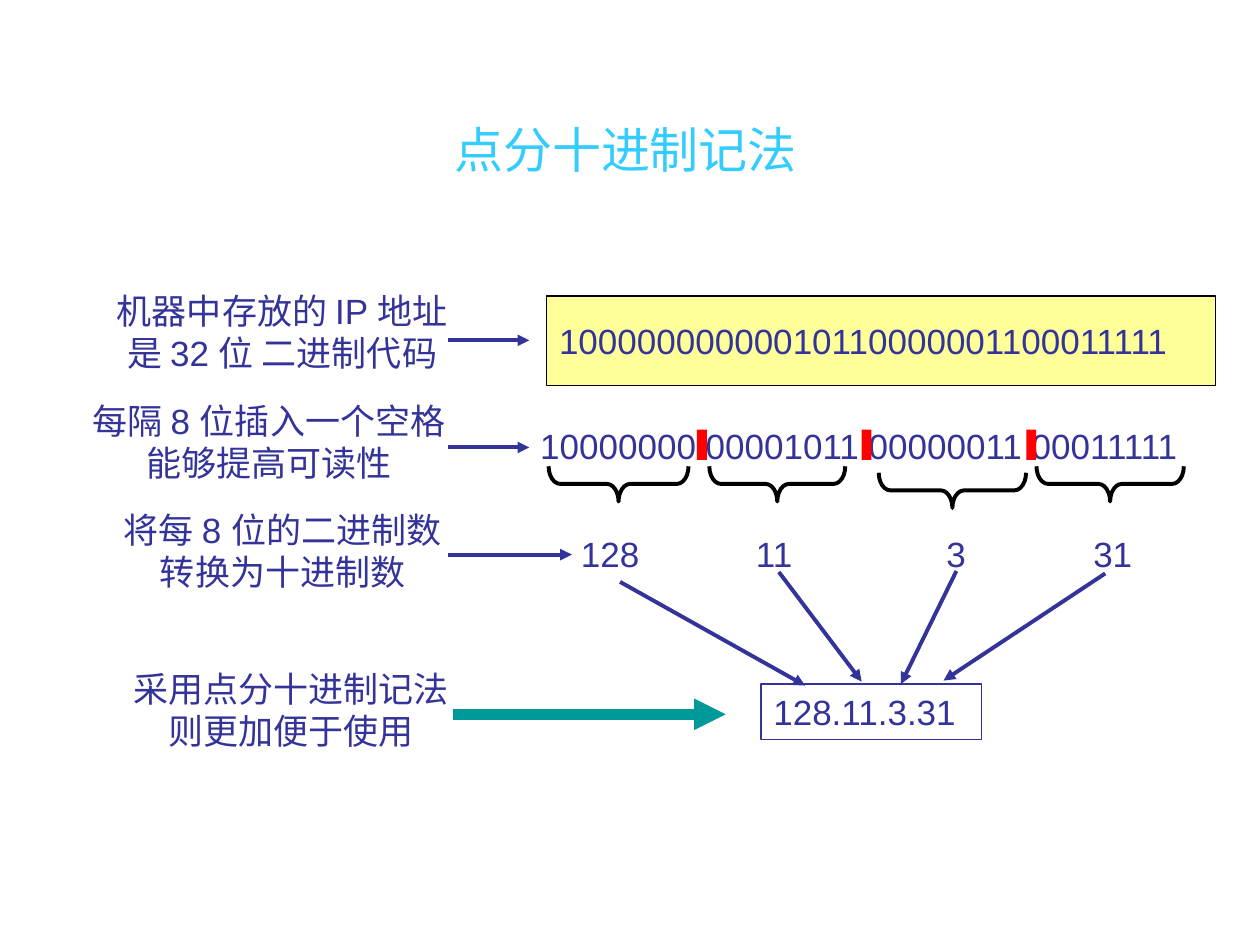
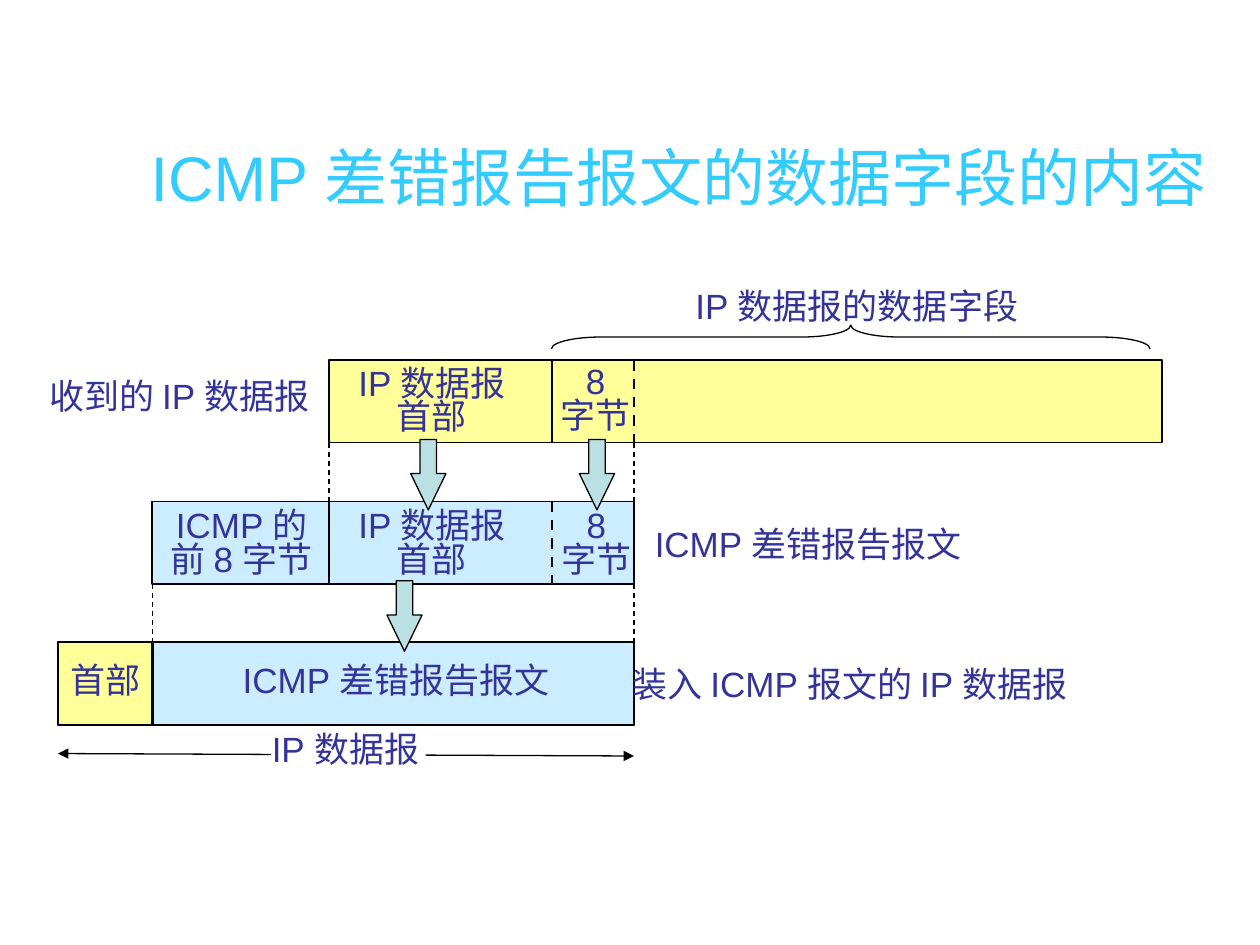
import pptx
import pptx.util
import pptx.dml.color
import pptx.enum.dml
import pptx.enum.shapes
import pptx.enum.text
import pptx.oxml
import pptx.oxml.ns
from lxml import etree

Cm = pptx.util.Cm
Pt = pptx.util.Pt
RGBColor = pptx.dml.color.RGBColor
SHAPE = pptx.enum.shapes.MSO_SHAPE
ALIGN = pptx.enum.text.PP_ALIGN
ANCHOR = pptx.enum.text.MSO_ANCHOR
qn = pptx.oxml.ns.qn

FONT = "Arial"
SKY = RGBColor(0x33, 0xCC, 0xFF)
NAVY = RGBColor(0x33, 0x33, 0x99)
TEAL = RGBColor(0x00, 0x99, 0x99)
YELLOW = RGBColor(0xFF, 0xFF, 0x99)
PALE_BLUE = RGBColor(0xCC, 0xEC, 0xFF)
ARROW_FILL = RGBColor(0xBB, 0xE0, 0xE3)
RED = RGBColor(0xFF, 0x00, 0x00)
BLACK = RGBColor(0x00, 0x00, 0x00)
WHITE = RGBColor(0xFF, 0xFF, 0xFF)


def add_box(s, x, y, w, h, text="", kind=None, fill=None, line=None, width=0.75,
            size=20, color=NAVY, align=ALIGN.LEFT, spacing=None, anchor=ANCHOR.TOP):
    """Add a preset shape, or a text box if kind is None; each text line is a paragraph."""
    frame = Cm(x), Cm(y), Cm(w), Cm(h)
    if kind is None:
        sp = s.shapes.add_textbox(*frame)
    else:
        sp = s.shapes.add_shape(kind, *frame)
        sp.shadow.inherit = False
        if fill is None:
            sp.fill.background()
        else:
            sp.fill.solid()
            sp.fill.fore_color.rgb = fill
        if line is None:
            sp.line.fill.background()
        else:
            sp.line.color.rgb = line
            sp.line.width = Pt(width)
    if text:
        tf = sp.text_frame
        tf.word_wrap = False
        tf.vertical_anchor = anchor
        if align == ALIGN.CENTER:
            # Centred labels use the full width, so that narrow ones stay on one line
            tf.margin_left = tf.margin_right = 0
        for i, words in enumerate(text.split("\n")):
            p = tf.paragraphs[0] if i == 0 else tf.add_paragraph()
            p.alignment = align
            if spacing:
                p.line_spacing = spacing
            r = p.add_run()
            r.text = words
            r.font.name = FONT
            r.font.size = Pt(size)
            r.font.color.rgb = color
    return sp


def add_line(s, x1, y1, x2, y2, color=BLACK, width=0.75, ends=(), dashed=False):
    """Add a straight line; ends names the ends with arrowheads (headEnd, tailEnd)."""
    c = s.shapes.add_connector(pptx.enum.shapes.MSO_CONNECTOR.STRAIGHT,
                               Cm(x1), Cm(y1), Cm(x2), Cm(y2))
    c.line.color.rgb = color
    c.line.width = Pt(width)
    if dashed:
        c.line.dash_style = pptx.enum.dml.MSO_LINE.DASH
    ln = c.line._get_or_add_ln()
    for end in ends:
        etree.SubElement(ln, qn("a:" + end)).set("type", "triangle")
    etree.SubElement(c._element.spPr, qn("a:effectLst"))


prs = pptx.Presentation()
prs.slide_width = Cm(25.4)
prs.slide_height = Cm(19.05)
blank = prs.slide_layouts[6]
title_style = dict(color=SKY, align=ALIGN.CENTER, anchor=ANCHOR.MIDDLE)

# Slide 1: dotted decimal notation
s = prs.slides.add_slide(blank)
add_box(s, 1.18, 2.11, 22.86, 1.78, "点分十进制记法", size=28, **title_style)

steps = [
    (1.93, 5.72, 7.52, "机器中存放的 IP 地址\n是 32 位 二进制代码"),
    (1.45, 7.92, 7.95, "每隔 8 位插入一个空格\n能够提高可读性"),
    (2.08, 10.13, 7.24, "将每 8 位的二进制数\n转换为十进制数"),
    (2.44, 13.34, 6.86, "采用点分十进制记法\n则更加便于使用"),
]
for x, y, w, text in steps:
    add_box(s, x, y, w, 1.96, text, align=ALIGN.CENTER)
for y, x_end in [(6.86, 10.67), (9.02, 10.67), (11.18, 11.53)]:
    add_line(s, 9.04, y, x_end, y, NAVY, 2.25, ["tailEnd"])
add_line(s, 9.14, 14.4, 14.63, 14.4, TEAL, 6, ["tailEnd"])

add_box(s, 11.02, 5.97, 13.49, 1.8, "10000000000010110000001100011111",
        SHAPE.RECTANGLE, YELLOW, BLACK, anchor=ANCHOR.MIDDLE)
add_box(s, 10.64, 8.43, 13.87, 1.12, "10000000 00001011 00000011 00011111")
for i in range(3):
    add_box(s, 14.05 + 3.32 * i, 8.66, 0.2, 0.61, kind=SHAPE.RECTANGLE, fill=RED)

depth = 0.71
for center, top, span in [(12.47, 9.4, 2.82), (15.67, 9.4, 2.74),
                          (19.2, 9.53, 2.97), (22.38, 9.4, 2.97)]:
    brace = add_box(s, center - depth / 2, top + (depth - span) / 2, depth, span,
                    kind=SHAPE.LEFT_BRACE, line=BLACK, width=2.25)
    brace.rotation = 270
    brace.adjustments[0] = 0.33

decimals = add_box(s, 11.46, 10.62, 11.89, 1.12, "128\t11\t3\t31")
pPr = decimals.text_frame.paragraphs[0]._p.get_or_add_pPr()
tabs = etree.SubElement(pPr, qn("a:tabLst"))
for stop in (3.53, 7.37, 10.33):
    tab = etree.SubElement(tabs, qn("a:tab"))
    tab.set("pos", str(int(Cm(stop))))
    tab.set("algn", "l")

add_box(s, 15.34, 13.79, 4.45, 1.12, "128.11.3.31", SHAPE.RECTANGLE, line=NAVY)
for ends in [(12.5, 11.73, 16.23, 13.82), (15.7, 11.53, 17.37, 13.74),
             (19.28, 11.51, 18.16, 13.79), (22.28, 11.56, 19.02, 13.72)]:
    add_line(s, *ends, NAVY, 2.25, ["tailEnd"])

# Slide 2: data field of an ICMP error report
s = prs.slides.add_slide(blank)
add_box(s, 2.4, 2.39, 22.56, 2.34, "ICMP 差错报告报文的数据字段的内容", size=36, **title_style)

packet_x, icmp_x, ip_x, data_x, cut_x, end_x = 1.17, 3.07, 6.63, 11.13, 12.78, 23.42
ip_y, icmp_y, packet_y = 7.26, 10.11, 12.95
row_h = 1.66

for left, right, y, fill in [(packet_x, cut_x, packet_y, YELLOW),
                             (icmp_x, cut_x, packet_y, PALE_BLUE),
                             (icmp_x, cut_x, icmp_y, PALE_BLUE),
                             (ip_x, end_x, ip_y, YELLOW)]:
    add_box(s, left, y, right - left, row_h, kind=SHAPE.RECTANGLE,
            fill=fill, line=BLACK, width=1)
for x, y, dashed in [(icmp_x, packet_y, False), (ip_x, icmp_y, False),
                     (data_x, ip_y, False), (cut_x, ip_y, True), (data_x, icmp_y, True)]:
    add_line(s, x, y, x, y + row_h, width=1.5, dashed=dashed)
for x, y, y_next in [(ip_x, ip_y, icmp_y), (cut_x, ip_y, icmp_y),
                     (icmp_x, icmp_y, packet_y), (cut_x, icmp_y, packet_y)]:
    add_line(s, x, y + row_h, x, y_next, dashed=True)

add_line(s, packet_x, 15.19, cut_x, 15.24, ends=["headEnd", "tailEnd"])
add_box(s, 5.46, 14.78, 3.12, 0.86, kind=SHAPE.RECTANGLE, fill=WHITE)

fields = [
    (6.88, 7.32, 3.66, 1.63, "IP 数据报\n首部"),
    (11.05, 7.29, 1.91, 1.63, "8\n字节"),
    (3.02, 10.19, 3.71, 1.63, "ICMP 的\n前 8 字节"),
    (6.88, 10.19, 3.66, 1.63, "IP 数据报\n首部"),
    (11.07, 10.19, 1.91, 1.63, "8\n字节"),
    (1.17, 13.31, 1.91, 0.94, "首部"),
    (4.55, 13.31, 6.88, 0.94, "ICMP 差错报告报文"),
]
for x, y, w, h, text in fields:
    add_box(s, x, y, w, h, text, align=ALIGN.CENTER, spacing=0.8)

labels = [
    (13.77, 5.61, 7.19, "IP 数据报的数据字段"),
    (0.74, 7.42, 6.1, "收到的 IP 数据报"),
    (12.95, 10.41, 6.88, "ICMP 差错报告报文"),
    (12.5, 13.23, 9.98, "装入 ICMP 报文的 IP 数据报"),
    (5.23, 14.55, 3.66, "IP 数据报"),
]
for x, y, w, text in labels:
    add_box(s, x, y, w, 1.12, text)

for x, y in [(8.28, 8.86), (11.68, 8.86), (7.8, 11.71)]:
    arrow = add_box(s, x, y, 0.71, 1.42, kind=SHAPE.DOWN_ARROW, fill=ARROW_FILL, line=BLACK)
    arrow.adjustments[0] = 0.47
    arrow.adjustments[1] = 1.03

brace = add_box(s, 16.91, 0.76, 0.48, 12.07, kind=SHAPE.LEFT_BRACE, line=BLACK)
brace.rotation = 90
brace.adjustments[0] = 2.08

prs.save("out.pptx")
